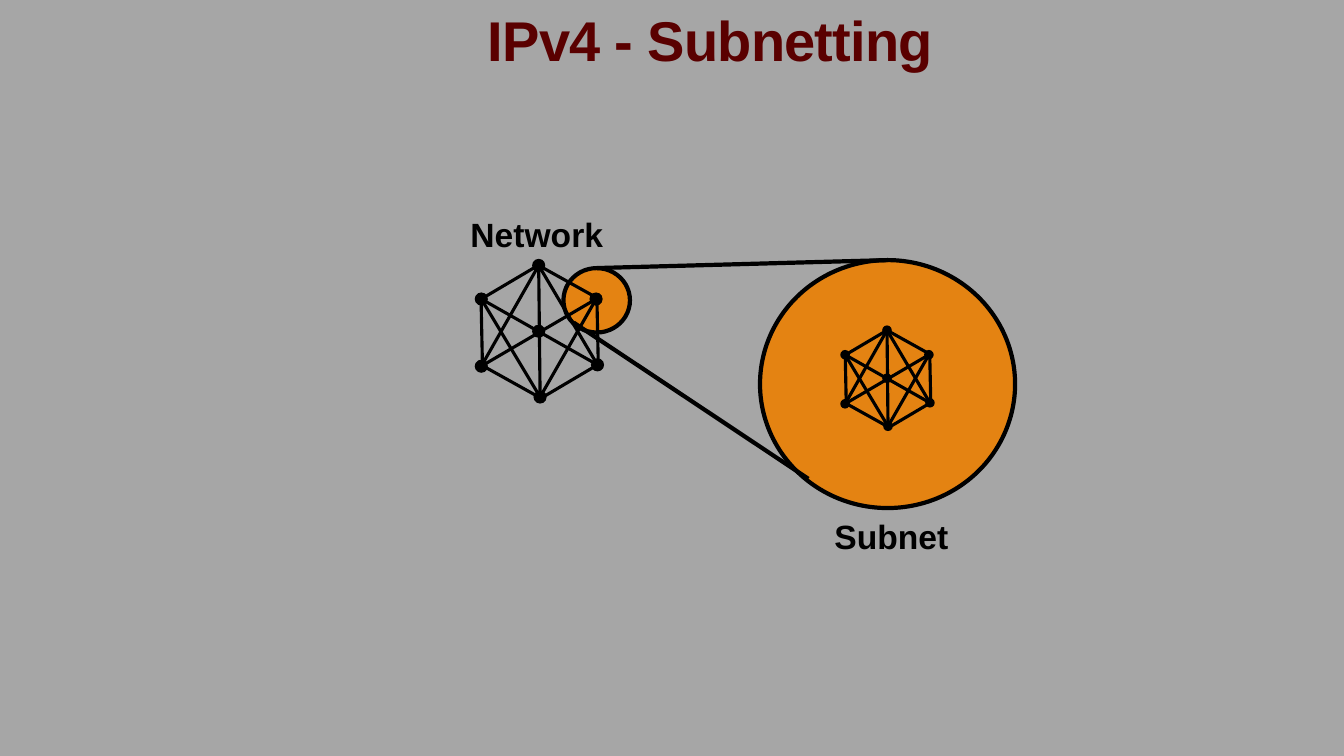
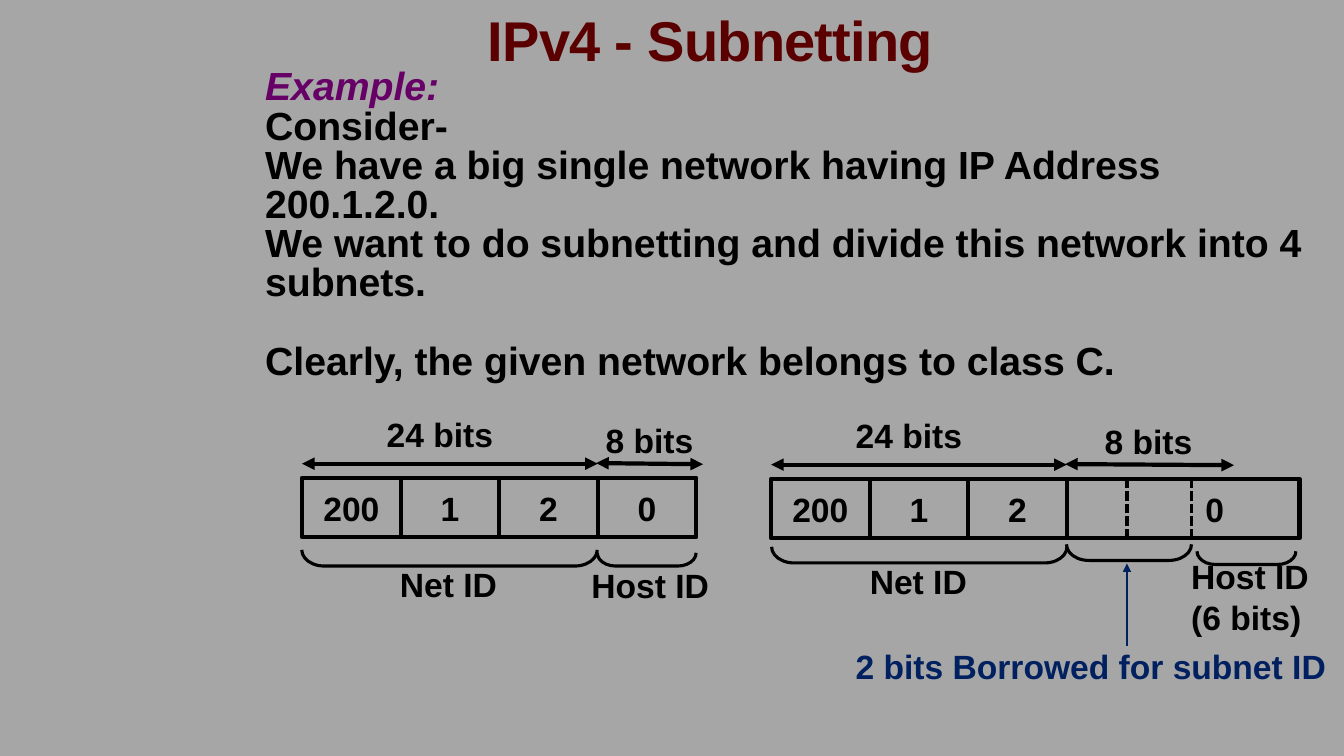
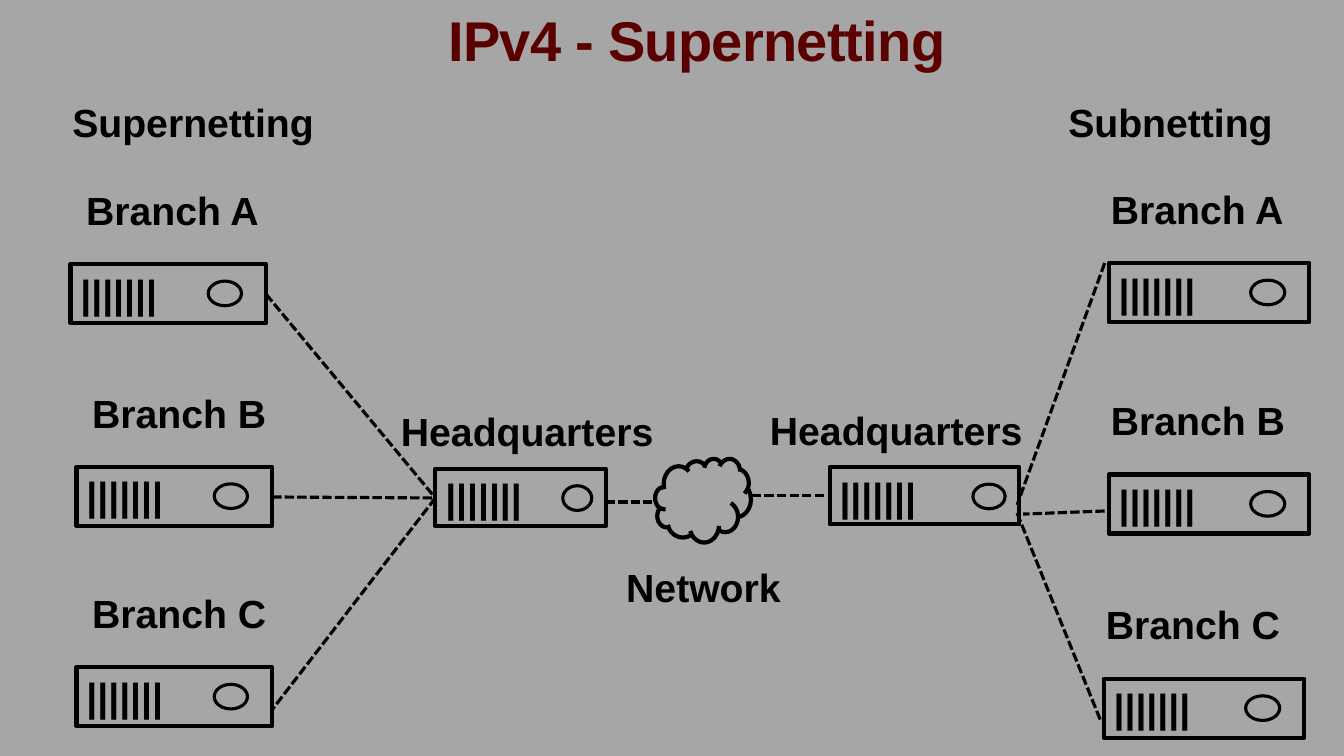
from dataclasses import dataclass

from lxml import etree
from pptx import Presentation, presentation, slide
from pptx import util as u
from pptx.dml import color
from pptx.enum import dml, shapes, text
from pptx.oxml import ns
from pptx.shapes import autoshape, connector

COLORS = {
    "background": "A6A6A6",
    "title": "5A0000",
    "example": "660066",
    "ink": "000000",
    "orange": "E48312",
    "navy": "002060",
}
FONT = "Arial"
KIND = shapes.MSO_SHAPE
TITLE_ONLY, TITLE_AND_BODY = 5, 1

MESH_NODES = [(0, -47), (41, -23), (42, 24), (1, 47), (-41, 25), (-41, -23)]
MESH_LINKS = [(0, 3), (1, 4), (2, 5), (0, 2), (0, 4), (3, 1), (3, 5)]


@dataclass(frozen=True)
class Box:
    left: float
    top: float
    width: float
    height: float

    def lengths(self) -> tuple[u.Length, ...]:
        return tuple(u.Pt(v) for v in (self.left, self.top, self.width, self.height))


@dataclass(frozen=True)
class Mesh:
    x: float
    y: float
    scale: float


@dataclass(frozen=True)
class Label:
    words: str
    left: float
    top: float
    width: float
    size: float = 24
    color: str = "ink"
    align: text.PP_ALIGN = text.PP_ALIGN.LEFT


@dataclass(frozen=True)
class Wire:
    start: tuple[float, float]
    end: tuple[float, float]
    weight: float = 2.25
    color: str = "ink"
    dashed: bool = False
    ends: tuple[str, ...] = ()


@dataclass(frozen=True)
class Server:
    box: Box
    label: Label
    lamp_gap: float


def rgb(name: str) -> color.RGBColor:
    return color.RGBColor.from_string(COLORS[name])


def add_span(para, words: str, size: float, ink: str = "ink"):
    span = para.add_run()
    span.text = words
    span.font.name = FONT
    span.font.size = u.Pt(size)
    span.font.bold = True
    span.font.color.rgb = rgb(ink)
    return span


def place(holder, box: Box) -> None:
    holder.left, holder.top, holder.width, holder.height = box.lengths()


def add_page(deck: presentation.Presentation, layout: int, heading: str,
             left: float, width: float) -> slide.Slide:
    page = deck.slides.add_slide(deck.slide_layouts[layout])
    title = page.shapes.title
    place(title, Box(left, 0, width, 55.4))
    frame = title.text_frame
    frame.auto_size = text.MSO_AUTO_SIZE.NONE
    frame.vertical_anchor = text.MSO_ANCHOR.BOTTOM
    para = frame.paragraphs[0]
    para.alignment = text.PP_ALIGN.LEFT
    para.line_spacing = 0.85
    span = add_span(para, heading, 40, "title")
    span.font._element.set("spc", "-50")
    return page


def add_label(page: slide.Slide, label: Label) -> None:
    box = Box(label.left, label.top, label.width, label.size * 1.5)
    frame = page.shapes.add_textbox(*box.lengths()).text_frame
    frame.word_wrap = True
    frame.margin_right = u.Pt(0)
    para = frame.paragraphs[0]
    para.alignment = label.align
    add_span(para, label.words, label.size, label.color)


def add_figure(page: slide.Slide, kind: KIND, box: Box, weight: float = 0,
               fill: str = "") -> autoshape.Shape:
    figure = page.shapes.add_shape(kind, *box.lengths())
    figure.shadow.inherit = False
    if fill:
        figure.fill.solid()
        figure.fill.fore_color.rgb = rgb(fill)
    else:
        figure.fill.background()
    if weight:
        figure.line.color.rgb = rgb("ink")
        figure.line.width = u.Pt(weight)
    else:
        figure.line.fill.background()
    return figure


def add_wire(page: slide.Slide, wire: Wire) -> connector.Connector:
    points = [u.Pt(v) for v in (*wire.start, *wire.end)]
    line = page.shapes.add_connector(shapes.MSO_CONNECTOR.STRAIGHT, *points)
    line.line.color.rgb = rgb(wire.color)
    line.line.width = u.Pt(wire.weight)
    if wire.dashed:
        line.line.dash_style = dml.MSO_LINE.SQUARE_DOT
    properties = line._element.spPr
    outline = properties.find(ns.qn("a:ln"))
    for end in wire.ends:
        etree.SubElement(outline, ns.qn(f"a:{end}"), type="triangle")
    etree.SubElement(properties, ns.qn("a:effectLst"))
    return line


def add_bracket(page: slide.Slide, box: Box) -> None:
    shift = (box.width - box.height) / 2
    upright = Box(box.left + shift, box.top - shift, box.height, box.width)
    bracket = add_figure(page, KIND.LEFT_BRACKET, upright, 2.25)
    bracket.rotation = 270
    bracket.adjustments[0] = 1.391


def add_mesh(page: slide.Slide, mesh: Mesh) -> None:
    width, height, dot = (v * mesh.scale for v in (95.8, 82.1, 9.4))
    outline = Box(mesh.x + 0.7 - width / 2, mesh.y + 0.4 - height / 2, width, height)
    hexagon = add_figure(page, KIND.HEXAGON, outline, 2.25)
    hexagon.adjustments[0] = 0.292
    hexagon.rotation = 29.1
    nodes = [(mesh.x + x * mesh.scale, mesh.y + y * mesh.scale) for x, y in MESH_NODES]
    for start, end in MESH_LINKS:
        add_wire(page, Wire(nodes[start], nodes[end]))
    for x, y in [*nodes, (mesh.x, mesh.y)]:
        add_figure(page, KIND.OVAL, Box(x - dot / 2, y - dot / 2, dot, dot), fill="ink")


def add_octet(page: slide.Slide, box: Box, words: str, inset: float = 7.2) -> None:
    octet = add_figure(page, KIND.RECTANGLE, box, 3)
    frame = octet.text_frame
    frame.margin_left = u.Pt(inset)
    frame.vertical_anchor = text.MSO_ANCHOR.MIDDLE
    para = frame.paragraphs[0]
    para.alignment = text.PP_ALIGN.CENTER
    add_span(para, words, 24)


def add_address(page: slide.Slide, left: float, top: float, host_width: float,
                host_inset: float, host_arrow: float) -> None:
    step = 70.4
    host = left + 3 * step
    for index, words in enumerate(("200", "1", "2")):
        add_octet(page, Box(left + index * step, top, step, 42.5), words)
    add_octet(page, Box(host, top, host_width, 42.5), "0", host_inset)
    both = ("headEnd", "tailEnd")
    level = top - 10.1
    add_wire(page, Wire((left, level), (host, level), 3, ends=both))
    add_wire(page, Wire((host - 1.2, level - 0.4), (host + host_arrow, level + 0.4), 3,
                        ends=both))
    add_label(page, Label("24 bits", left + 53.3, top - 49, 91.4))


def add_server(page: slide.Slide, server: Server) -> None:
    box = server.box
    case = add_figure(page, KIND.RECTANGLE, box, 3)
    case.text_frame.vertical_anchor = text.MSO_ANCHOR.TOP
    para = case.text_frame.paragraphs[0]
    para.alignment = text.PP_ALIGN.LEFT
    add_span(para, "|||||||", 28)
    width = box.width * 0.17
    lamp = Box(box.left + box.width - server.lamp_gap - width, box.top + 12.2, width, 17.6)
    add_figure(page, KIND.OVAL, lamp, 2.25)
    add_label(page, server.label)


def build_network(deck: presentation.Presentation) -> None:
    page = add_page(deck, TITLE_ONLY, "IPv4 - Subnetting", 341.3, 352.8)
    for circle in (Box(402.5, 191.5, 47.5, 46), Box(542.9, 185.8, 182.2, 177.1)):
        add_figure(page, KIND.OVAL, circle, 3, "orange")
    for mesh in (Mesh(384.8, 236.6, 1), Mesh(633.6, 270.2, 0.73)):
        add_mesh(page, mesh)
    add_label(page, Label("Network", 329, 149, 110.2))
    add_label(page, Label("Subnet", 589, 365, 96.5))
    add_wire(page, Wire((426.2, 191.5), (634.3, 185.8), 3))
    add_wire(page, Wire((409.7, 230.4), (577.4, 342), 3))


def build_example(deck: presentation.Presentation) -> None:
    page = add_page(deck, TITLE_AND_BODY, "IPv4 - Subnetting", 341.3, 352.8)
    body = page.placeholders[1]
    place(body, Box(182.2, 46.1, 777.6, 259.2))
    frame = body.text_frame
    frame.auto_size = text.MSO_AUTO_SIZE.NONE
    lines = [
        ("Example:", "example", 0),
        ("Consider-", "ink", 0),
        ("We have a big single network having IP Address 200.1.2.0.", "ink", 0),
        ("We want to do subnetting and divide this network into 4 subnets.", "ink", 0),
        ("Clearly, the given network belongs to class C.", "ink", 28),
    ]
    for index, (words, ink, gap) in enumerate(lines):
        para = frame.add_paragraph() if index else frame.paragraphs[0]
        para.line_spacing = u.Pt(28)
        para.space_before = u.Pt(gap)
        span = add_span(para, words, 28, ink)
        span.font.italic = ink == "example"
        properties = para._p.get_or_add_pPr()
        properties.set("marL", "0")
        properties.set("indent", "0")
        etree.SubElement(properties, ns.qn("a:buNone"))

    add_address(page, 215.8, 341.3, 70.4, 7.2, 75.2)
    add_address(page, 550.8, 342, 166.3, 52, 119.5)
    for bracket in (
        Box(215.6, 392.8, 211, 11.5), Box(426.6, 394.9, 70.6, 9.4),
        Box(551.2, 390.6, 211, 11.5), Box(761.8, 388.8, 89.3, 11.5),
        Box(855, 393.8, 70.6, 9.4),
    ):
        add_bracket(page, bracket)
    for label in (
        Label("8 bits", 425.5, 296.6, 77.8),
        Label("8 bits", 781.9, 297.4, 77.8),
        Label("Net ID", 278.6, 399.6, 84.2),
        Label("Net ID", 614.2, 397.4, 84.2),
        Label("Host ID", 415.4, 400.3, 99.4),
        Label("Host ID (6 bits)", 843.8, 393.8, 109.4),
        Label("2 bits Borrowed for subnet ID", 604.1, 457.9, 355.7, color="navy"),
    ):
        add_label(page, label)
    for x in (805, 851):
        add_wire(page, Wire((x, 384.5), (x, 341.3), dashed=True))
    add_wire(page, Wire((805, 461.5), (805, 402.5), 1.5, "navy", ends=("tailEnd",)))


def branch(letter: str, left: float, top: float, width: float, shift: float) -> Server:
    label = Label(f"Branch {letter}", left + shift, top - 59.2, 145, 28)
    return Server(Box(left, top, width, 42.2), label, 17.6)


def headquarters(left: float, top: float, width: float, shift: float) -> Server:
    label = Label("Headquarters", left - shift, top - 47.2, 206, 28)
    return Server(Box(left, top, width, 41), label, 10)


def build_supernetting(deck: presentation.Presentation) -> None:
    page = add_page(deck, TITLE_ONLY, "IPv4 - Supernetting", 313.2, 378)
    add_label(page, Label("Supernetting", 44.6, 67, 206, 28))
    add_label(page, Label("Subnetting", 756, 66.5, 179, 28))
    for server in (
        branch("A", 50.4, 188.6, 139.7, 4),
        branch("B", 54.7, 333.4, 139.7, 4),
        branch("C", 54.7, 476.6, 139.7, 4),
        branch("A", 792, 187.9, 143.3, -5.6),
        branch("B", 792, 338.9, 143.3, -5.6),
        branch("C", 788.4, 484.8, 143.3, -5.6),
        headquarters(311, 334.8, 121.7, 31.7),
        headquarters(592.6, 333.6, 135.4, 49.7),
    ):
        add_server(page, server)
    add_figure(page, KIND.CLOUD, Box(468, 327.6, 68.4, 59.8), 3)
    add_label(page, Label("Network", 399.6, 398.9, 198.7, 28, align=text.PP_ALIGN.CENTER))
    hub = (311, 355.7)
    for start, end in (
        ((190.1, 210.2), hub), (hub, (194.4, 506.9)), ((194.4, 355), hub),
        ((432.7, 358.6), (465.8, 358.6)), ((537.1, 354.2), (590.4, 354.2)),
        ((789.1, 187.9), (726.5, 360.7)), ((726.5, 366.5), (786.2, 514.8)),
        ((789.1, 365), (730.8, 367.2)),
    ):
        add_wire(page, Wire(start, end, dashed=True))


def main() -> None:
    deck = Presentation()
    deck.slide_width, deck.slide_height = u.Pt(960), u.Pt(540)
    backdrop = deck.slide_master.background.fill
    backdrop.solid()
    backdrop.fore_color.rgb = rgb("background")
    build_network(deck)
    build_example(deck)
    build_supernetting(deck)
    deck.save("out.pptx")


if __name__ == "__main__":
    main()
